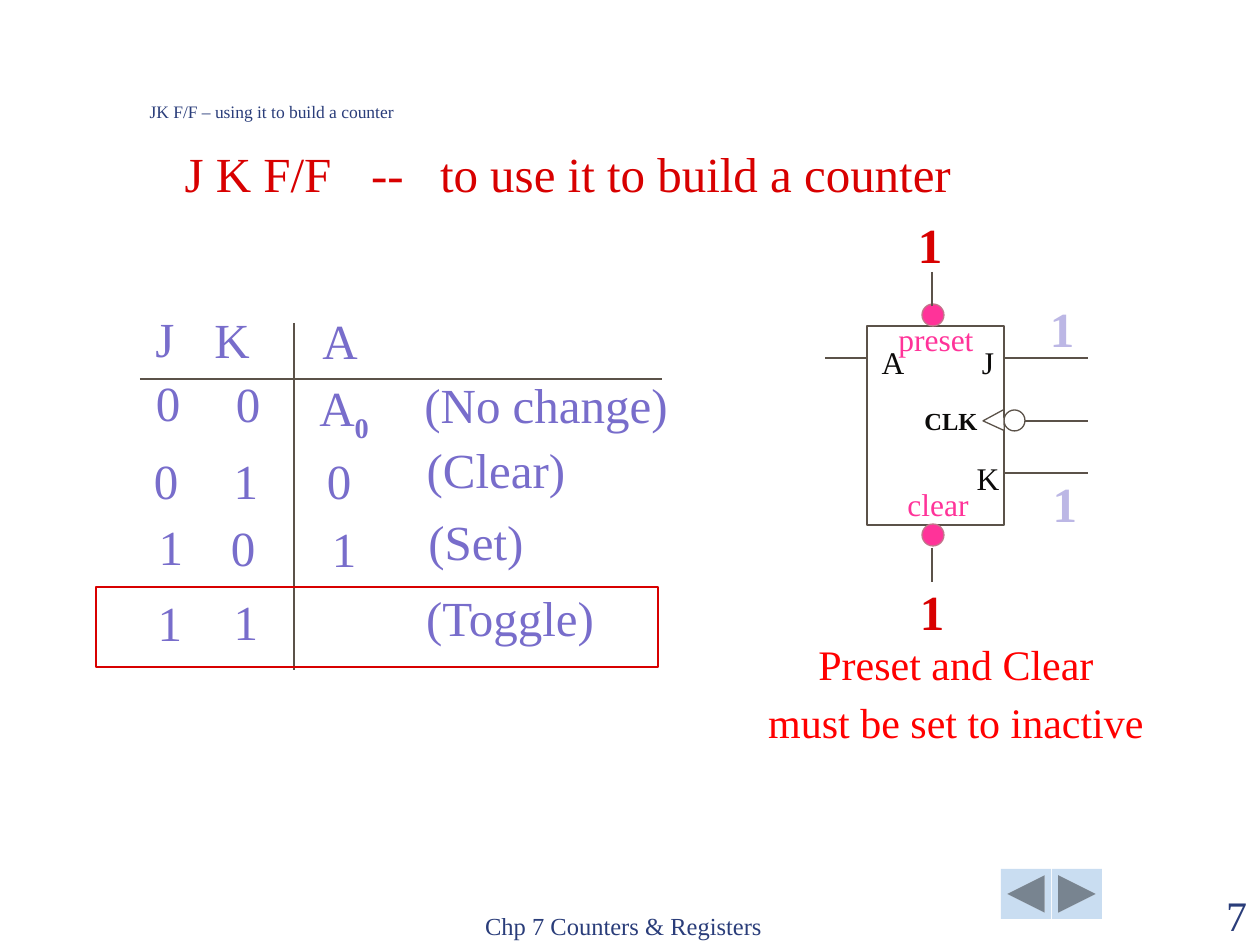
from lxml import etree
from pptx import Presentation, util as u
from pptx.dml.color import RGBColor
from pptx.enum import shapes, text
from pptx.oxml.ns import qn

FONT = "Times New Roman"
COLORS = {"navy": "2A3D7A", "violet": "786DCB", "lilac": "BCB7E5", "red": "D80000",
          "bright": "FF0000", "pink": "FF3399", "rim": "C3758B", "line": "5B5249",
          "ink": "0C0B0A", "white": "FFFFFF", "button": "C9DDF1"}

TITLE = "JK F/F – using it to build a counter"
TRUTH_TABLE = [
    [("J", 165, 309), ("K", 232, 310), ("A", 340, 311)],
    [("0", 168, 373), ("0", 248, 374), ("A", 344, 377), ("(No change)", 546, 375)],
    [("0", 166, 451), ("1", 246, 451), ("0", 339, 451), ("(Clear)", 496, 440)],
    [("1", 171, 517), ("0", 243, 518), ("1", 344, 519), ("(Set)", 476, 512)],
    [("1", 170, 593), ("1", 246, 592), ("(Toggle)", 510, 588)],
]
PINS = [("J", 988, 343, 18, "ink"), ("K", 988, 459, 18, "ink"), ("A", 893, 343, 18, "ink"),
        ("preset", 936, 320, 18, "pink"), ("clear", 938, 485, 18, "pink")]
LEVELS = [(1062, 299, "lilac"), (1065, 474, "lilac"), (930, 215, "red"), (932, 582, "red")]
TABLE_RULES = [(140, 379, 662, 379), (294, 323, 294, 670)]
PIN_WIRES = [(867, 358, 825, 358), (1004, 358, 1088, 358),
             (1004, 473, 1088, 473), (1025, 421, 1088, 421)]
CONTROL_WIRES = [(932, 548, 932, 582), (932, 272, 932, 306)]


def px(n):
    return round(n * 914400 / 126)


def color(name):
    return RGBColor.from_string(COLORS[name])


def add_run(p, words, size, ink, bold=False, baseline=0):
    r = p.add_run()
    r.text = words
    r.font.name, r.font.size, r.font.bold = FONT, u.Pt(size), bold
    r.font.color.rgb = color(ink)
    if baseline:
        r.font._element.set("baseline", str(baseline))


def label(words, x, y, w=200, h=59, size=28, ink="violet", bold=False, sub="",
          align="CENTER", anchor="TOP", tab=0, spacing=None, gap=0):
    left = {"LEFT": x, "CENTER": x - w / 2, "RIGHT": x - w}[align]
    tf = s.shapes.add_textbox(px(left), px(y), px(w), px(h)).text_frame
    tf.margin_left = tf.margin_right = tf.margin_top = tf.margin_bottom = 0
    tf.word_wrap = True
    tf.vertical_anchor = getattr(text.MSO_ANCHOR, anchor)
    for i, line in enumerate(words.split("\n")):
        p = tf.add_paragraph() if i else tf.paragraphs[0]
        p.alignment = getattr(text.PP_ALIGN, align)
        if spacing:
            p.line_spacing = spacing
        if i:
            p.space_before = u.Pt(gap)
        if tab:
            tabs = etree.SubElement(p._p.get_or_add_pPr(), qn("a:tabLst"))
            etree.SubElement(tabs, qn("a:tab"), pos=str(px(tab)), algn="l")
        add_run(p, line, size, ink, bold)
        if sub:
            add_run(p, sub, size, ink, True, -25000)


def shape(kind, x, y, w, h, fill=None, line=None, width=0.75):
    sp = s.shapes.add_shape(getattr(shapes.MSO_SHAPE, kind), px(x), px(y), px(w), px(h))
    sp.shadow.inherit = False
    if fill:
        sp.fill.solid()
        sp.fill.fore_color.rgb = color(fill)
    else:
        sp.fill.background()
    if line:
        sp.line.color.rgb = color(line)
        sp.line.width = u.Pt(width)
    else:
        sp.line.fill.background()
    return sp


def wires(routes):
    for route in routes:
        c = s.shapes.add_connector(shapes.MSO_CONNECTOR.STRAIGHT, *map(px, route))
        c.line.color.rgb = color("line")
        c.line.width = u.Pt(0.75)
        etree.SubElement(c._element.spPr, qn("a:effectLst"))


prs = Presentation()
prs.slide_width, prs.slide_height = px(1260), px(945)
s = prs.slides.add_slide(prs.slide_layouts[5])

title = s.shapes.title
title.left, title.top, title.width, title.height = map(px, (137, 89, 323, 39))
title.text_frame.vertical_anchor = text.MSO_ANCHOR.BOTTOM
p = title.text_frame.paragraphs[0]
p.alignment = text.PP_ALIGN.LEFT
add_run(p, TITLE, 10, "navy")

shape("ACTION_BUTTON_BACK_OR_PREVIOUS", 1001, 869, 50, 50, "button")
shape("ACTION_BUTTON_FORWARD_OR_NEXT", 1052, 869, 50, 50, "button")
label("Chp 7 Counters & Registers", 485, 900, 374, 40, size=14, ink="navy",
      align="LEFT", anchor="BOTTOM")
label("7", 1247, 880, 100, 60, size=24, ink="navy", align="RIGHT", anchor="BOTTOM")

label("J K F/F", 258, 144, ink="red")
label("--\tto use it to build a counter", 371, 144, 600, ink="red", align="LEFT", tab=69)

shape("RECTANGLE", 867, 326, 137, 199, "white", "line")
shape("OVAL", 1004, 410, 21, 21, "white", "line")
shape("ISOSCELES_TRIANGLE", 983, 410, 21, 21, "white", "line").rotation = 268.1
wires(PIN_WIRES)
label("CLK", 951, 406, 80, 30, size=14, ink="ink", bold=True)

wires(TABLE_RULES)
for row in TRUTH_TABLE:
    for i, (words, x, y) in enumerate(row):
        stored = row is TRUTH_TABLE[1] and i == 2
        wide = words.startswith("(")
        label(words, x, y, 270 if wide else 72, sub="0" if stored else "")
shape("RECTANGLE", 96, 587, 562, 80, line="red", width=1.5)

for y in (304, 524):
    shape("OVAL", 922, y, 22, 22, "pink", "rim")
wires(CONTROL_WIRES)
for words, x, y, size, ink in PINS:
    label(words, x, y, 100, 38, size=size, ink=ink)
for x, y, ink in LEVELS:
    label("1", x, y, 50, ink=ink, bold=True)
label("Preset and Clear\nmust be set to inactive", 956, 652, 400, 96, size=24,
      ink="bright", spacing=0.7, gap=13)

prs.save("out.pptx")
